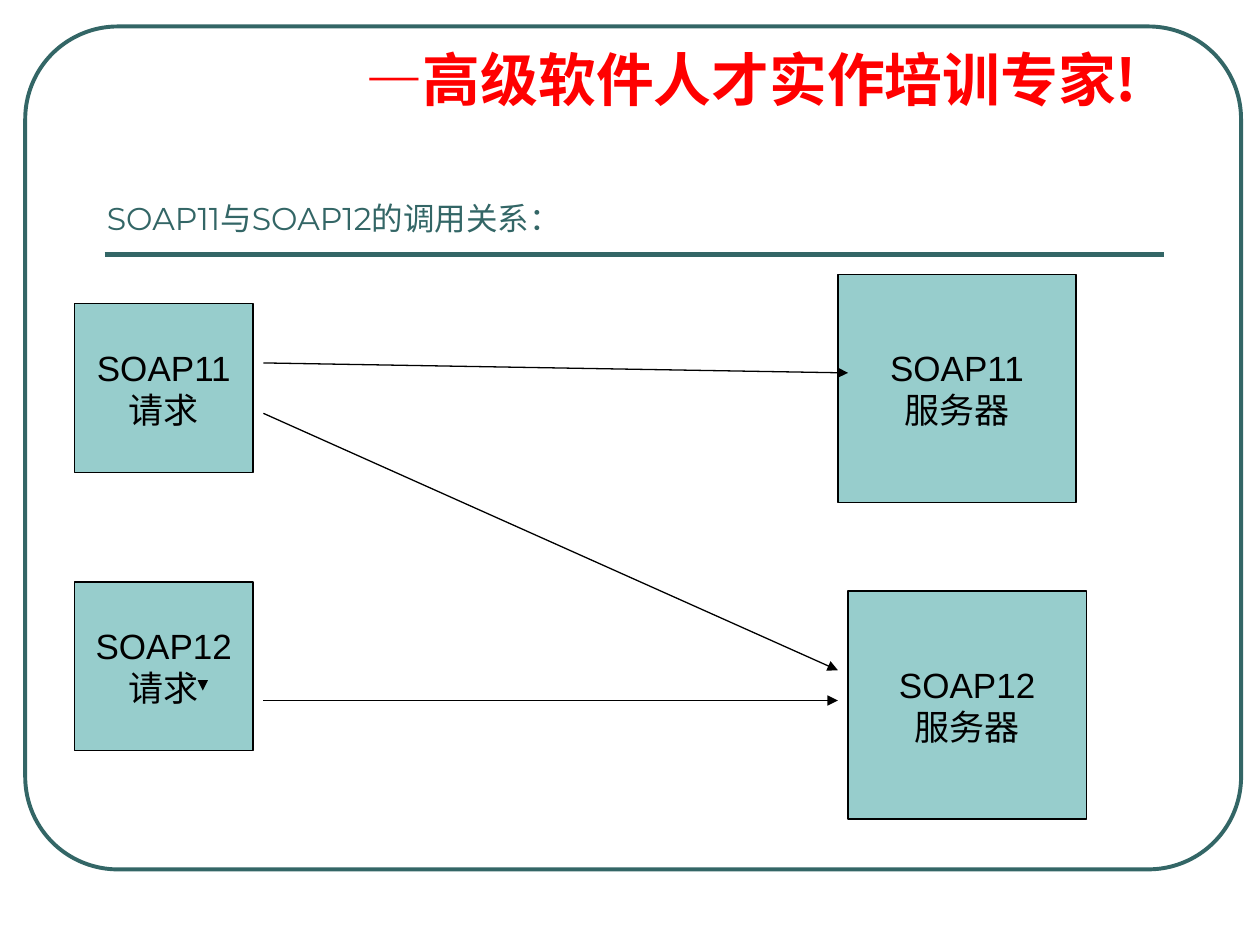
from lxml import etree
from pptx import Presentation
from pptx.dml.color import RGBColor
from pptx.enum import shapes, text
from pptx.oxml import ns
from pptx.util import Pt

TEAL = RGBColor(0x33, 0x66, 0x66)
AQUA = RGBColor(0x97, 0xCD, 0xCC)
RED = RGBColor(0xFF, 0x00, 0x00)
BLACK = RGBColor(0x00, 0x00, 0x00)


def add_line(start, end, color, width, arrow=False):
    line = slide.shapes.add_connector(
        shapes.MSO_CONNECTOR.STRAIGHT, *[Pt(v) for v in (*start, *end)])
    line.line.color.rgb = color
    line.line.width = Pt(width)
    if arrow:
        etree.SubElement(line.line._get_or_add_ln(), ns.qn("a:tailEnd"), type="triangle")
    etree.SubElement(line._element.spPr, ns.qn("a:effectLst"))


def style_font(paragraph, name, size, color, bold=False):
    paragraph.font.name = name
    paragraph.font.size = Pt(size)
    paragraph.font.color.rgb = color
    paragraph.font.bold = bold


prs = Presentation()
prs.slide_width, prs.slide_height = Pt(720), Pt(540)
slide = prs.slides.add_slide(prs.slide_layouts[6])

# Frame and rule
frame = slide.shapes.add_shape(
    shapes.MSO_SHAPE.ROUNDED_RECTANGLE, Pt(14.4), Pt(15.1), Pt(694.8), Pt(481.7))
frame.adjustments[0] = 0.11
frame.shadow.inherit = False
frame.fill.background()
frame.line.color.rgb = TEAL
frame.line.width = Pt(2.25)
add_line((59.8, 145.4), (665.3, 145.4), TEAL, 3)

# Slogan with a hanging indent
slogan = slide.shapes.add_textbox(Pt(201.6), Pt(25.9), Pt(453.6), Pt(78.5)).text_frame
slogan.word_wrap = True
slogan_line = slogan.paragraphs[0]
slogan_line.text = "—高级软件人才实作培训专家!"
slogan_line.line_spacing = 0.9
slogan_line.space_before = Pt(8.2)
indent = slogan_line._p.get_or_add_pPr()
indent.set("marL", str(Pt(27)))
indent.set("indent", str(Pt(-27)))
style_font(slogan_line, "Noto Sans CJK SC", 33, RED, bold=True)

# Title
title = slide.shapes.add_textbox(Pt(54), Pt(25.9), Pt(606.2), Pt(113)).text_frame
title.word_wrap = True
title.vertical_anchor = text.MSO_ANCHOR.BOTTOM
title.paragraphs[0].text = "SOAP11与SOAP12的调用关系："
style_font(title.paragraphs[0], "Montserrat", 18, TEAL)

# Requests on the left, servers on the right
REQUEST_SIZE = (102.2, 96.5)
SERVER_SIZE = (136.1, 130.3)
nodes = [
    ("SOAP11", "服务器", 478.8, 157, SERVER_SIZE),
    ("SOAP12", "服务器", 484.6, 337.7, SERVER_SIZE),
    ("SOAP11", "请求", 42.5, 173.5, REQUEST_SIZE),
    ("SOAP12", "请求", 42.5, 332.6, REQUEST_SIZE),
]
for version, role, left, top, size in nodes:
    node = slide.shapes.add_shape(
        shapes.MSO_SHAPE.RECTANGLE, *[Pt(v) for v in (left, top, *size)])
    node.shadow.inherit = False
    node.fill.solid()
    node.fill.fore_color.rgb = AQUA
    node.line.color.rgb = BLACK
    node.line.width = Pt(0.75)
    label = node.text_frame
    label.word_wrap = False
    label.vertical_anchor = text.MSO_ANCHOR.MIDDLE
    label.text = f"{version}\n{role}"
    for paragraph in label.paragraphs:
        paragraph.alignment = text.PP_ALIGN.CENTER
        style_font(paragraph, "Arial", 20, BLACK)

# Calls from requests to servers, and the small arrow in the SOAP12 request
calls = [
    ((150.5, 207.4), (484.6, 213.1)),
    ((150.5, 236.2), (478.8, 383)),
    ((150.5, 400.3), (478.8, 400.3)),
    ((115.9, 388.8), (115.9, 394.6)),
]
for start, end in calls:
    add_line(start, end, BLACK, 0.75, arrow=True)

prs.save("out.pptx")
